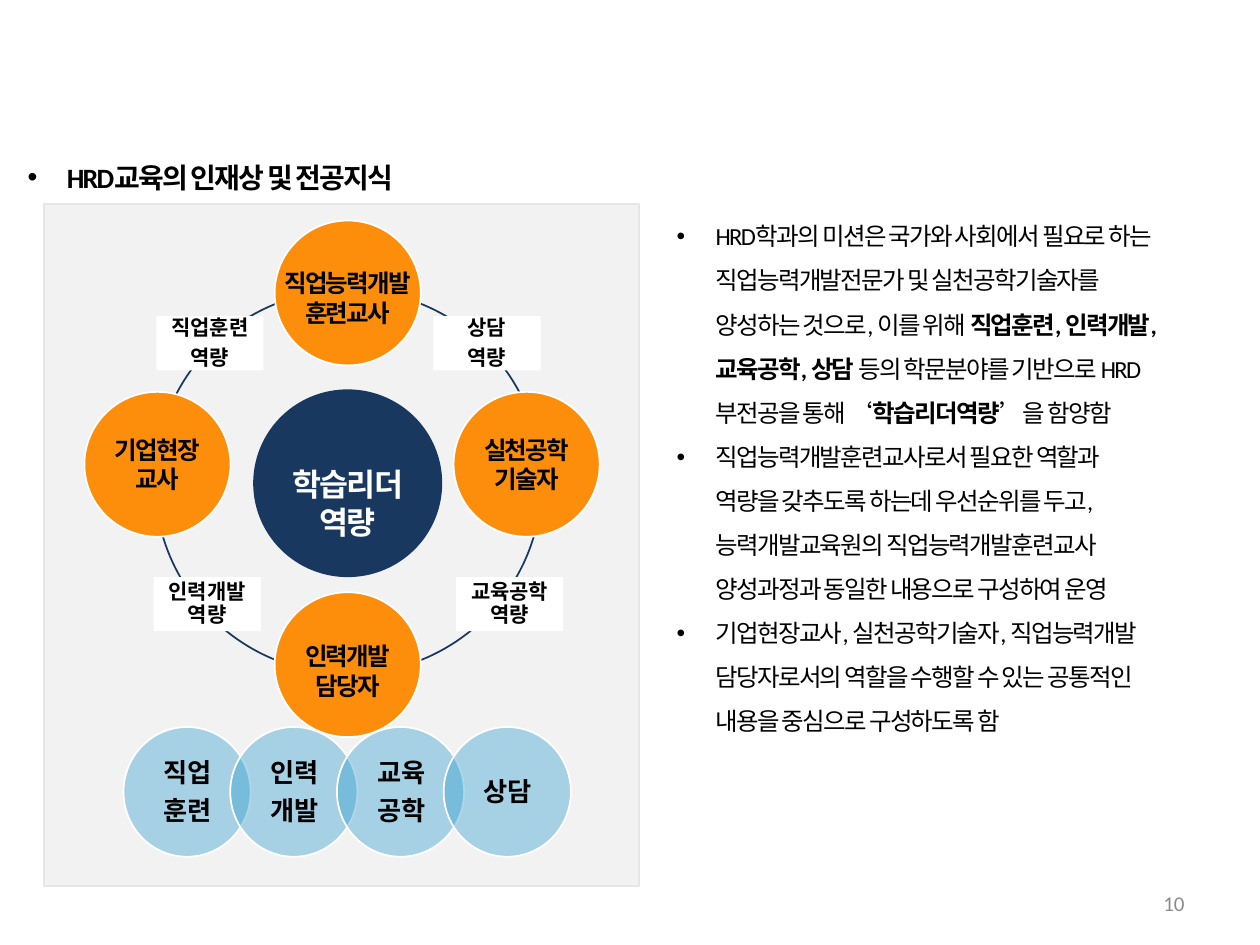
from lxml import etree
from pptx import Presentation
from pptx.dml.color import RGBColor
from pptx.enum.shapes import MSO_SHAPE
from pptx.enum.text import MSO_ANCHOR, MSO_AUTO_SIZE, PP_ALIGN
from pptx.oxml.ns import qn
from pptx.util import Inches, Pt

OVAL, RECT = MSO_SHAPE.OVAL, MSO_SHAPE.RECTANGLE
LEFT, CENTER, RIGHT = PP_ALIGN.LEFT, PP_ALIGN.CENTER, PP_ALIGN.RIGHT
TOP, MIDDLE = MSO_ANCHOR.TOP, MSO_ANCHOR.MIDDLE
FIT, FIXED = MSO_AUTO_SIZE.SHAPE_TO_FIT_TEXT, MSO_AUTO_SIZE.NONE

FONT = "Calibri"
BLACK, WHITE, GRAY = "000000", "FFFFFF", "8C8C8C"
NAVY, ORANGE, BLUE = "183860", "FC8E0C", "349ECF"
PANEL, PANEL_EDGE = "F2F2F2", "E7E6E6"
SMALL_INSETS = (0.06, 0.02, 0.06, 0.02)

HEADING = "HRD교육의 인재상 및 전공지식"
# Each paragraph is a list of (text, bold) spans.
BODY = [
    [("HRD학과의 미션은 국가와 사회에서 필요로 하는 직업능력개발전문가 및 "
      "실천공학기술자를 양성하는 것으로, 이를 위해 ", False),
     ("직업훈련, 인력개발, 교육공학, 상담", True),
     (" 등의 학문분야를 기반으로 HRD부전공을 통해 ‘", False),
     ("학습리더역량", True),
     ("’을 함양함", False)],
    [("직업능력개발훈련교사로서 필요한 역할과 역량을 갖추도록 하는데 우선순위를 두고, "
      "능력개발교육원의 직업능력개발훈련교사 양성과정과 동일한 내용으로 구성하여 운영", False)],
    [("기업현장교사, 실천공학기술자, 직업능력개발 담당자로서의 역할을 수행할 수 있는 "
      "공통적인 내용을 중심으로 구성하도록 함", False)],
]
CORE = ["학습리더", "역량"]
# Circle left and top, then text top and width, then lines.
ROLES = [
    (2.18, 1.75, 2.08, 1.3, ["직업능력개발", "훈련교사"]),
    (3.6, 3.11, 3.4, 0.93, ["실천공학", "기술자"]),
    (2.18, 4.7, 5.04, 0.93, ["인력개발", "담당자"]),
    (0.67, 3.11, 3.4, 0.93, ["기업현장", "교사"]),
]
SKILLS = [
    (1.24, 2.51, ["직업훈련", "역량"]),
    (3.44, 2.51, ["상담", "역량"]),
    (1.22, 4.58, ["인력개발역량"]),
    (3.62, 4.58, ["교육공학역량"]),
]
FIELDS = [["직업", "훈련"], ["인력", "개발"], ["교육", "공학"], ["상담"]]
FIELD_LEFT, FIELD_STEP = 0.98, 0.847


def rgb(value):
    return RGBColor.from_string(value)


def inches(values):
    return [Inches(value) for value in values]


def add_figure(shapes, kind, area, fill=None, line=None, opacity=None):
    shape = shapes.add_shape(kind, *inches(area))
    shape.shadow.inherit = False
    if fill:
        shape.fill.solid()
        shape.fill.fore_color.rgb = rgb(fill)
    else:
        shape.fill.background()
    if opacity:
        color = shape.fill._xPr.find(".//" + qn("a:srgbClr"))
        etree.SubElement(color, qn("a:alpha"), val=str(opacity * 1000))
    if line:
        shape.line.color.rgb = rgb(line)
        shape.line.width = Pt(1)
    else:
        shape.line.fill.background()
    return shape


def add_bullet(para):
    properties = para._p.get_or_add_pPr()
    indent = Inches(0.31)
    properties.set("marL", str(indent))
    properties.set("indent", str(-indent))
    etree.SubElement(properties, qn("a:buFont"), typeface="Arial")
    etree.SubElement(properties, qn("a:buChar"), char="•")


def write(box, paragraphs, size, color=BLACK, bold=True, align=CENTER, anchor=TOP,
          wrap=True, fit=FIXED, insets=(0.1, 0.05, 0.1, 0.05), tight=False,
          bullet=False, line_spacing=1, after=0):
    """Fill a box with paragraphs, each a string or a list of (text, bold) spans."""
    frame = box.text_frame
    sides = ("margin_left", "margin_top", "margin_right", "margin_bottom")
    settings = dict(zip(sides, inches(insets)), word_wrap=wrap, auto_size=fit,
                    vertical_anchor=anchor)
    for name, value in settings.items():
        setattr(frame, name, value)
    for index, content in enumerate(paragraphs):
        para = frame.paragraphs[0] if index == 0 else frame.add_paragraph()
        layout = dict(alignment=align, line_spacing=line_spacing,
                      space_before=Pt(0), space_after=Pt(after))
        for name, value in layout.items():
            setattr(para, name, value)
        if bullet:
            add_bullet(para)
        spans = [(content, bold)] if isinstance(content, str) else content
        for text, strong in spans:
            span = para.add_run()
            span.text = text
            for name, value in dict(name=FONT, size=Pt(size), bold=strong).items():
                setattr(span.font, name, value)
            span.font.color.rgb = rgb(color)
            if tight:
                span._r.get_or_add_rPr().set("spc", "-100")


def place(box, area):
    box.left, box.top, box.width, box.height = inches(area)


def add_diagram(shapes):
    title_style = dict(wrap=False, fit=FIT, tight=True)
    add_figure(shapes, OVAL, (1.23, 2.3, 3.07, 3.05), line=NAVY)
    add_figure(shapes, OVAL, (2.01, 3.09, 1.5, 1.49), NAVY)
    core = shapes.add_textbox(*inches((2.18, 3.64, 1.16, 0.7)))
    write(core, CORE, 18, WHITE, **title_style)

    diameter = 1.16
    for left, top, *_ in ROLES:
        add_figure(shapes, OVAL, (left, top, diameter, 1.15), ORANGE, WHITE)
    for left, _, text_top, width, lines in ROLES:
        text_left = left + (diameter - width) / 2
        box = shapes.add_textbox(*inches((text_left, text_top, width, 0.57)))
        write(box, lines, 14, **title_style)

    for left, top, lines in SKILLS:
        box = add_figure(shapes, RECT, (left, top, 0.85, 0.43), WHITE)
        write(box, lines, 12, anchor=MIDDLE, insets=SMALL_INSETS,
              line_spacing=0.9, after=4.2)


def add_fields(shapes):
    for index, lines in enumerate(FIELDS):
        left = FIELD_LEFT + index * FIELD_STEP
        add_figure(shapes, OVAL, (left, 5.77, 1.01, 1.03), BLUE, WHITE, opacity=40)
        box = shapes.add_textbox(*inches((left + 0.15, 5.93, 0.72, 0.73)))
        write(box, lines, 15, anchor=MIDDLE, insets=SMALL_INSETS,
              line_spacing=0.9, after=5.25)


def main():
    deck = Presentation()
    deck.slide_width, deck.slide_height = Inches(10), Inches(7.5)
    page = deck.slides.add_slide(deck.slide_layouts[1])
    shapes = page.shapes

    heading, body = shapes.title, page.placeholders[1]
    place(heading, (0.12, 1.22, 3.47, 0.37))
    write(heading, [HEADING], 16, align=LEFT, wrap=False, fit=FIT,
          tight=True, bullet=True)
    place(body, (5.27, 1.59, 4.07, 4.7))
    write(body, BODY, 14, align=LEFT, fit=FIT, tight=True, bullet=True,
          line_spacing=1.5)

    add_figure(shapes, RECT, (0.35, 1.62, 4.72, 5.41), PANEL, PANEL_EDGE)
    add_diagram(shapes.add_group_shape().shapes)
    add_fields(shapes)

    number = shapes.add_textbox(*inches((7.17, 6.97, 2.33, 0.4)))
    write(number, ["10"], 12, GRAY, bold=False, align=RIGHT, anchor=MIDDLE)
    deck.save("out.pptx")


if __name__ == "__main__":
    main()
